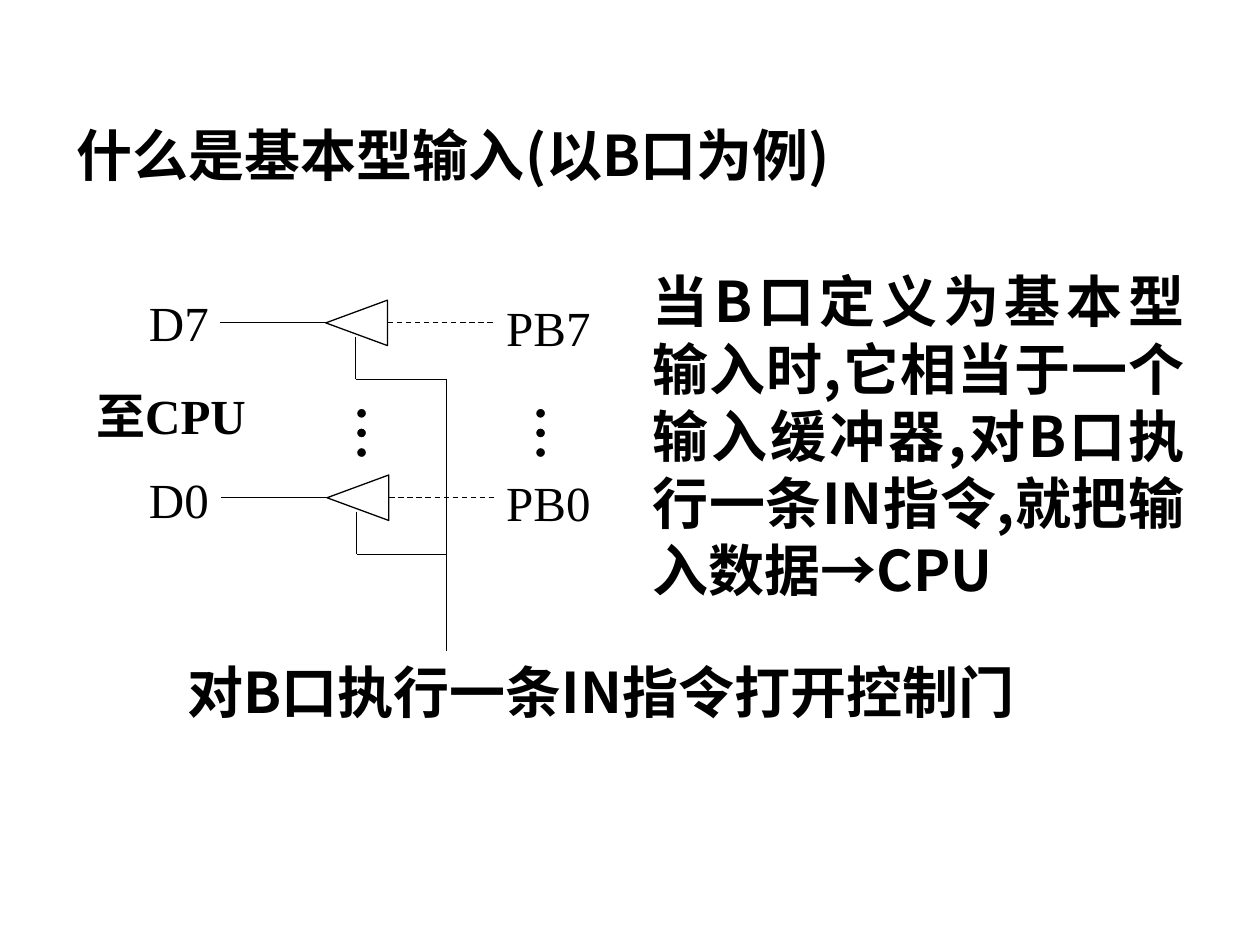
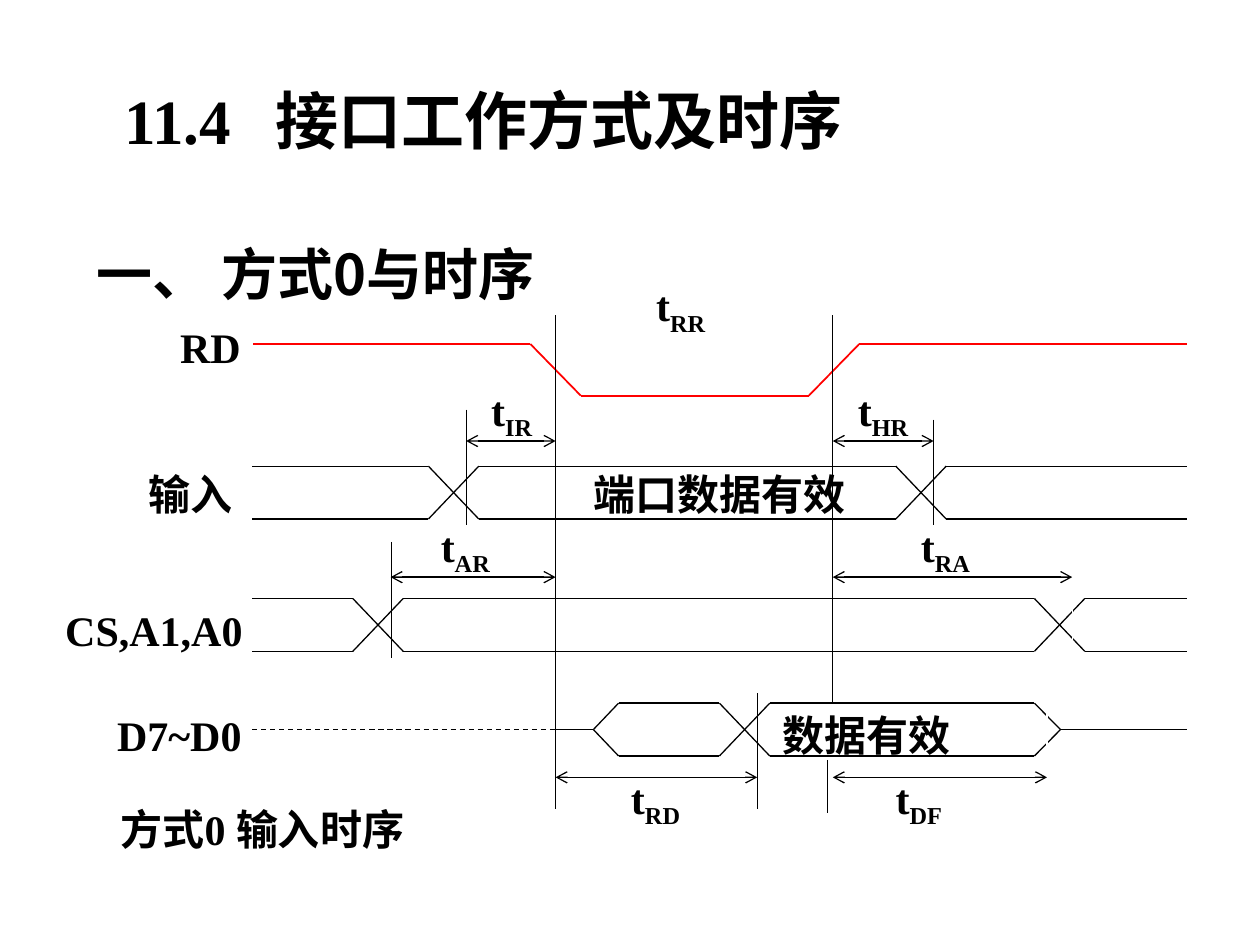
import itertools
from dataclasses import dataclass

import pptx
import pptx.dml.color
import pptx.enum.dml
import pptx.enum.shapes
import pptx.enum.text
import pptx.oxml
import pptx.oxml.ns
import pptx.util
from lxml import etree

Pt = pptx.util.Pt
Kind = pptx.enum.shapes.MSO_SHAPE
Align = pptx.enum.text.PP_ALIGN
qn = pptx.oxml.ns.qn


@dataclass(frozen=True)
class Theme:
    ink: str = "000000"
    paper: str = "FFFFFF"
    pulse: str = "FF0000"
    serif: str = "Times New Roman"
    sans: str = "Noto Sans CJK SC"
    title: int = 36
    head: int = 32
    pin: int = 28
    label: int = 24
    thin: float = 0.75
    mid: float = 1
    thick: float = 1.25


class Deck:
    def __init__(self, theme):
        self.theme = theme
        self.file = pptx.Presentation()
        self.file.slide_width, self.file.slide_height = Pt(720), Pt(540)
        self.slide = None

    def page(self):
        self.slide = self.file.slides.add_slide(self.file.slide_layouts[6])

    def color(self, code):
        return pptx.dml.color.RGBColor.from_string(code)

    def text(self, words, left, top, width, height, size, font=None,
             bold=True, align=Align.LEFT, sub="", tab=None):
        box = self.slide.shapes.add_textbox(
            Pt(left), Pt(top), Pt(width), Pt(height))
        frame = box.text_frame
        style = {"word_wrap": True,
                 "auto_size": pptx.enum.text.MSO_AUTO_SIZE.SHAPE_TO_FIT_TEXT,
                 "vertical_anchor": pptx.enum.text.MSO_ANCHOR.TOP}
        for key, value in style.items():
            setattr(frame, key, value)
        para = frame.paragraphs[0]
        para.alignment = align
        if tab:
            stops = etree.SubElement(
                para._p.get_or_add_pPr(), qn("a:tabLst"))
            etree.SubElement(stops, qn("a:tab"), pos=str(Pt(tab)), algn="l")
        look = {"size": Pt(size), "bold": bold,
                "name": font or self.theme.serif}
        for part in filter(None, (words, sub)):
            run = para.add_run()
            run.text = part
            for key, value in look.items():
                setattr(run.font, key, value)
            run.font.color.rgb = self.color(self.theme.ink)
            props = run._r.get_or_add_rPr()
            etree.SubElement(props, qn("a:ea"), typeface=self.theme.sans)
            if part == sub:
                props.set("baseline", "-25000")

    def head(self, words, left, top, width, height, align):
        self.text(words, left, top, width, height, self.theme.head,
                  self.theme.sans, align=align)

    def line(self, x1, y1, x2, y2, color=None, width=None, dash=False,
             arrows=False):
        link = self.slide.shapes.add_connector(
            pptx.enum.shapes.MSO_CONNECTOR.STRAIGHT,
            Pt(x1), Pt(y1), Pt(x2), Pt(y2))
        link.line.color.rgb = self.color(color or self.theme.ink)
        link.line.width = Pt(width or self.theme.thin)
        if dash:
            link.line.dash_style = pptx.enum.dml.MSO_LINE.DASH
        if arrows:
            for end in ("a:headEnd", "a:tailEnd"):
                etree.SubElement(
                    link.line._get_or_add_ln(), qn(end), type="arrow")
        etree.SubElement(link._element.spPr, qn("a:effectLst"))

    def shape(self, kind, x, y, width, height, edge, fill=None, turn=0):
        """Place a preset shape centred on x, y."""
        item = self.slide.shapes.add_shape(
            kind, Pt(x - width / 2), Pt(y - height / 2),
            Pt(width), Pt(height))
        item.shadow.inherit = False
        item.rotation = turn
        item.line.color.rgb = self.color(edge)
        item.line.width = Pt(self.theme.thin)
        if fill:
            item.fill.solid()
            item.fill.fore_color.rgb = self.color(fill)
        else:
            item.fill.background()

    def gate(self, x, y):
        """Draw a buffer with its data line, pin line and control stem."""
        self.line(x - 78.3, y, x - 17.3, y)
        self.line(x + 18, y, x + 78.7, y, dash=True)
        self.shape(Kind.ISOSCELES_TRIANGLE, x, y, 26, 35.3,
                   self.theme.ink, turn=270)
        self.line(x - 0.6, y + 8, x - 0.6, y + 32)
        self.line(x - 0.6, y + 32.3, 255, y + 32.3)

    def bus(self, top, left, right, marks):
        """Draw two rails that swap over at each mark."""
        low, span = top + 30.2, 28.8
        starts = [left] + [mark + span for mark in marks]
        for start, end in zip(starts, marks + [right]):
            for y in (top, low):
                self.line(start, y, end, y)
        for mark in marks:
            self.line(mark, low, mark + span, top)
            self.line(mark, top, mark + span, low)


def buffer(deck):
    theme = deck.theme
    deck.page()
    # Headings and explanation
    deck.head("什么是基本型输入(以B口为例)", 36.7, 65.5, 630, 46,
              Align.JUSTIFY)
    deck.head("当B口定义为基本型输入时,它相当于一个输入缓冲器,"
              "对B口执行一条IN指令,就把输入数据→CPU",
              365.8, 149, 318.2, 199.4, Align.JUSTIFY)
    deck.head("对B口执行一条IN指令打开控制门", 72, 372.2, 543, 46,
              Align.CENTER)
    # Gates and shared control line
    deck.gate(203.8, 184.5)
    deck.gate(204.5, 284.4)
    deck.line(255, 216.7, 255, 372.2)
    # Dots between first and last bit
    for x, row in itertools.product((206.6, 308.9), range(3)):
        deck.shape(Kind.OVAL, x, 236.2 + 11.2 * row, 5.8, 5.8,
                   theme.paper, theme.ink)
    # Pin names
    for name, left, top, width in (
            ("PB7", 282.2, 166.3, 84), ("PB0", 282.2, 266.4, 84),
            ("D7", 78, 163.4, 60), ("D0", 78, 265, 60)):
        deck.text(name, left, top, width, 41, theme.pin, bold=False)
    deck.text("至CPU", 48, 216.7, 108, 41, theme.pin)


def timing(deck):
    theme = deck.theme
    deck.page()
    # Headings
    deck.text("11.4\t接口工作方式及时序", 64, 43.2, 454, 50.4,
              theme.title, tab=86.4)
    deck.head("一、 方式0与时序", 48, 133.2, 576, 46, Align.LEFT)
    # Address and input buses
    deck.bus(342, 144, 678.2, [201.6, 591.1])
    deck.bus(266.4, 144, 678.2, [244.8, 511.9])
    # Data bus: idle, first burst, valid data, idle
    mid = 416.9
    deck.bus(401.8, 353.5, 591.1, [411.1])
    for y in (401.8, 432):
        deck.line(339.1, mid, 353.5, y)
        deck.line(591.1, y, 606, mid)
    deck.line(144, mid, 317.5, mid, dash=True)
    deck.line(317.5, mid, 339.1, mid)
    deck.line(606, mid, 678.2, mid)
    # Read pulse
    high, low = 196.6, 226.1
    pulse = [(144.7, high), (303.1, high), (331.9, low),
             (462.2, low), (491, high), (678.2, high)]
    widths = [theme.thick] + [theme.mid] * 4
    for (start, end), width in zip(itertools.pairwise(pulse), widths):
        deck.line(*start, *end, theme.pulse, width)
    # Time marks; the paper-coloured ones cut the bus edges
    for x, top, end, color in (
            (317.5, 180, 462.2, theme.ink), (475.9, 180, 401.8, theme.ink),
            (473, 434.2, 464.4, theme.ink), (432.7, 396, 462.2, theme.ink),
            (533.5, 239.8, 300.2, theme.ink), (266.4, 234, 300.2, theme.ink),
            (223.9, 309.6, 375.8, theme.ink),
            (598.3, 396, 462.2, theme.paper),
            (612.7, 311.8, 378, theme.paper)):
        deck.line(x, top, x, end, color)
    # Spans
    for start, end, y in (
            (266.4, 317.5, 252), (475.9, 533.5, 252),
            (223.2, 317.5, 329.8), (475.9, 612.7, 329.8),
            (317.5, 432.7, 444.2), (475.9, 598.3, 444.2)):
        deck.line(start, y, end, y, arrows=True)
    # Span names
    for sub, left, top in (
            ("RR", 367.9, 156.2), ("IR", 273.6, 216), ("HR", 483.1, 216),
            ("AR", 244.8, 293.8), ("RA", 519.1, 293.8),
            ("RD", 353.5, 437.8), ("DF", 504.7, 437.8)):
        deck.text("t", left, top, 72, 40.3, theme.label, sub=sub)
    # Signal names and captions
    for words, left, top, width in (
            ("RD", 95.8, 180, 102), ("输入", 77.8, 264.2, 78),
            ("CS,A1,A0", 30.2, 342, 126), ("D7~D0", 59.8, 401.8, 102),
            ("端口数据有效", 331.9, 264.2, 202.3),
            ("数据有效", 439.9, 401.8, 202.3)):
        deck.text(words, left, top, width, 36, theme.label)
    deck.text("方式0 输入时序", 48, 455.8, 203.8, 36, theme.label,
              align=Align.CENTER)


def main():
    deck = Deck(Theme())
    buffer(deck)
    timing(deck)
    deck.file.save("out.pptx")


if __name__ == "__main__":
    main()
